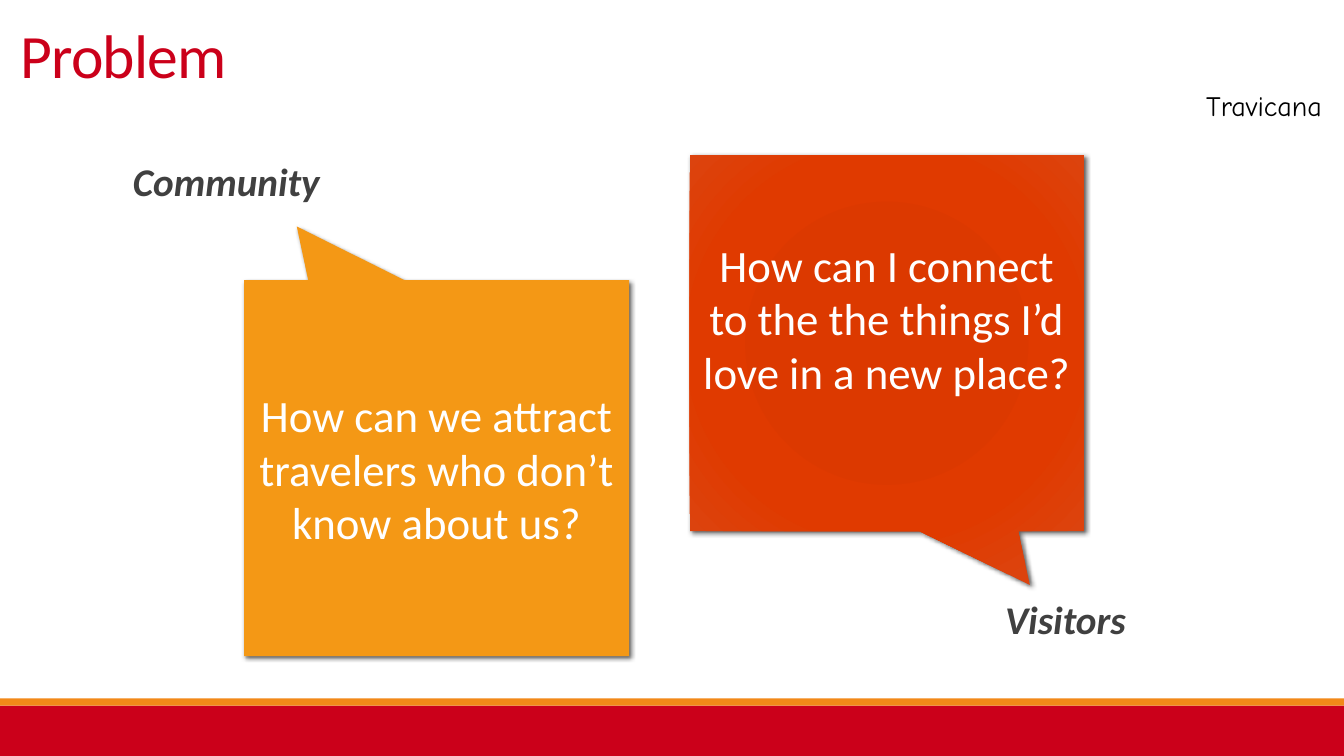
import pptx
import pptx.util
import pptx.oxml
import pptx.oxml.ns
import pptx.dml.color
import pptx.enum.shapes
import pptx.enum.text

Inch = pptx.util.Inches
Pt = pptx.util.Pt
RGBColor = pptx.dml.color.RGBColor
Shape = pptx.enum.shapes.MSO_SHAPE
Align = pptx.enum.text.PP_ALIGN
Anchor = pptx.enum.text.MSO_ANCHOR

RED = RGBColor(0xCB, 0x00, 0x1A)
GOLD = RGBColor(0xF2, 0x88, 0x18)
AMBER = RGBColor(0xF4, 0x98, 0x15)
FLAME = RGBColor(0xDC, 0x39, 0x00)
GRAY = RGBColor(0x40, 0x40, 0x40)
BLACK = RGBColor(0x00, 0x00, 0x00)
WHITE = RGBColor(0xFF, 0xFF, 0xFF)

WIDE, HIGH = 13.33, 7.5
SPACE = pptx.oxml.ns.nsdecls("a")


def style(shape, text, size, color, font="Calibri", align=Align.LEFT, lead=1.0):
    frame = shape.text_frame
    frame.word_wrap = True
    frame.text = text
    para = frame.paragraphs[0]
    para.alignment = align
    para.line_spacing = lead
    run = para.runs[0]
    run.font.name = font
    run.font.size = Pt(size)
    run.font.color.rgb = color
    return run


def block(kind, box, color):
    shape = slide.shapes.add_shape(kind, *map(Inch, box))
    shape.shadow.inherit = False
    shape.fill.solid()
    shape.fill.fore_color.rgb = color
    shape.line.fill.background()
    return shape


deck = pptx.Presentation()
deck.slide_width = Inch(WIDE)
deck.slide_height = Inch(HIGH)
slide = deck.slides.add_slide(deck.slide_layouts[5])

foot = HIGH - 0.5
block(Shape.RECTANGLE, (0, foot, WIDE, 0.5), RED)
block(Shape.RECTANGLE, (0, foot - 0.07, WIDE, 0.07), GOLD)

title = slide.shapes.title
title.left, title.top = 0, 0
title.width, title.height = Inch(12.2), Inch(0.95)
run = style(title, "Problem", 44, RED, lead=0.85)
run.font._element.set("spc", "-50")
title.text_frame.vertical_anchor = Anchor.BOTTOM
title.text_frame.margin_left = Inch(0.2)

brand = slide.shapes.add_textbox(*map(Inch, (11.67, 0.83, 1.54, 0.44)))
style(brand, "Travicana", 20, BLACK, "Comic Neue", Align.RIGHT)

quotes = [
    ("How can I connect to the the things I’d love in a new place?",
     (6.84, 1.54, 3.91, 3.73), FLAME, 1, 0.5),
    ("How can we attract travelers who don’t know about us?",
     (2.42, 2.78, 3.82, 3.73), AMBER, -1, 0.0),
]
calls = []
for text, box, color, side, pad in quotes:
    call = block(Shape.RECTANGULAR_CALLOUT, box, color)
    call.adjustments[0] = side * 0.363
    call.adjustments[1] = side * 0.643
    style(call, text, 32, WHITE, align=Align.CENTER)
    frame = call.text_frame
    frame.vertical_anchor = Anchor.MIDDLE
    frame.margin_left = frame.margin_right = Inch(0.1)
    frame.margin_bottom = Inch(0.05 + pad)
    props = call._element.spPr
    cast = props.find(pptx.oxml.ns.qn("a:effectLst"))
    cast.append(pptx.oxml.parse_xml(
        f'<a:outerShdw {SPACE} blurRad="38100" dist="25400" dir="2700000" '
        'rotWithShape="0"><a:srgbClr val="000000"><a:alpha val="60000"/>'
        '</a:srgbClr></a:outerShdw>'))
    calls.append(call)

stops = [(0, "DA3900"), (34, "DC3900"), (70, "E03A00"), (100, "DC430E")]
marks = "".join(f'<a:gs pos="{at * 1000}"><a:srgbClr val="{tint}"/></a:gs>'
                for at, tint in stops)
props = calls[0]._element.spPr
solid = props.find(pptx.oxml.ns.qn("a:solidFill"))
props.replace(solid, pptx.oxml.parse_xml(
    f'<a:gradFill {SPACE} rotWithShape="1"><a:gsLst>{marks}</a:gsLst>'
    '<a:path path="circle"><a:fillToRect l="50000" t="50000" r="50000" '
    'b="50000"/></a:path></a:gradFill>'))

labels = [
    ("Visitors", (9.87, 5.91, 2.33, 0.71)),
    ("Community", (1.22, 1.56, 5.64, 1.19)),
]
for text, box in labels:
    label = slide.shapes.add_textbox(*map(Inch, box))
    run = style(label, text, 28, GRAY, lead=0.9)
    run.font.bold = True
    run.font.italic = True
    label.text_frame.margin_left = Inch(0.1)
    label.text_frame.margin_right = 0

deck.save("out.pptx")
